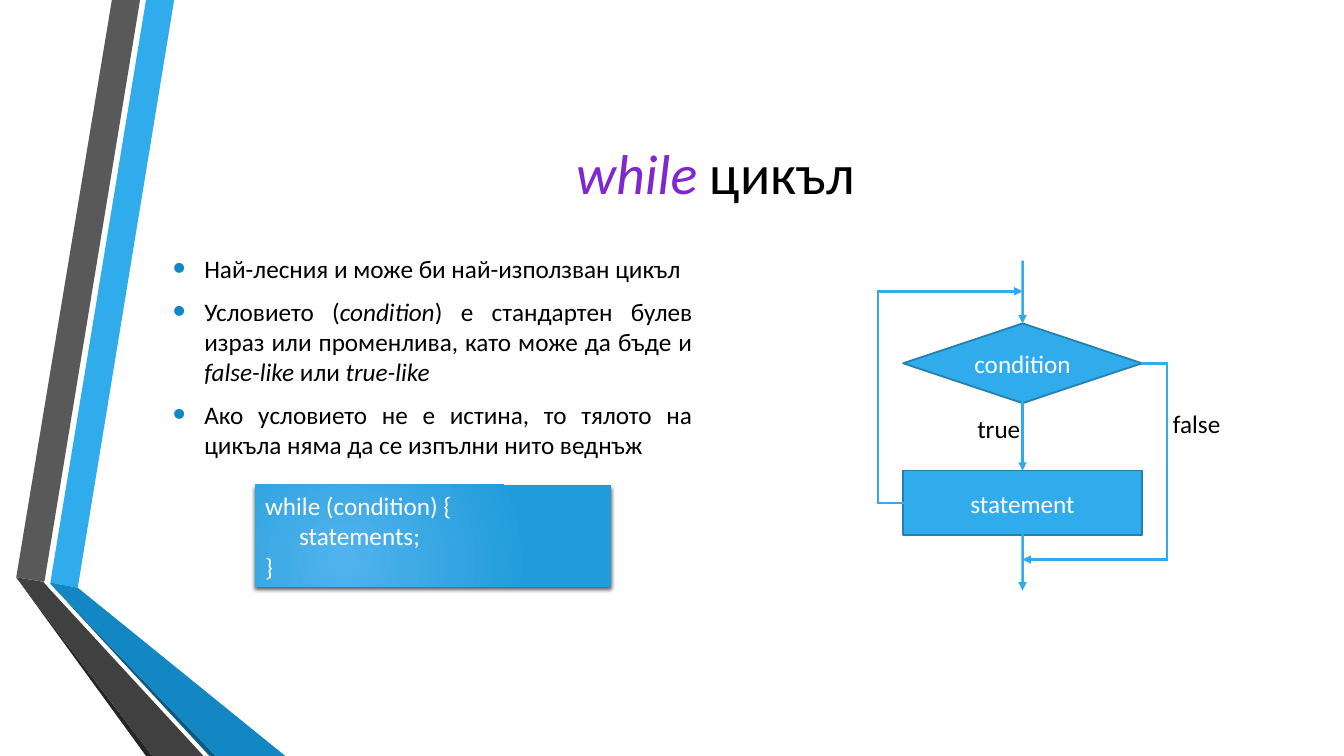
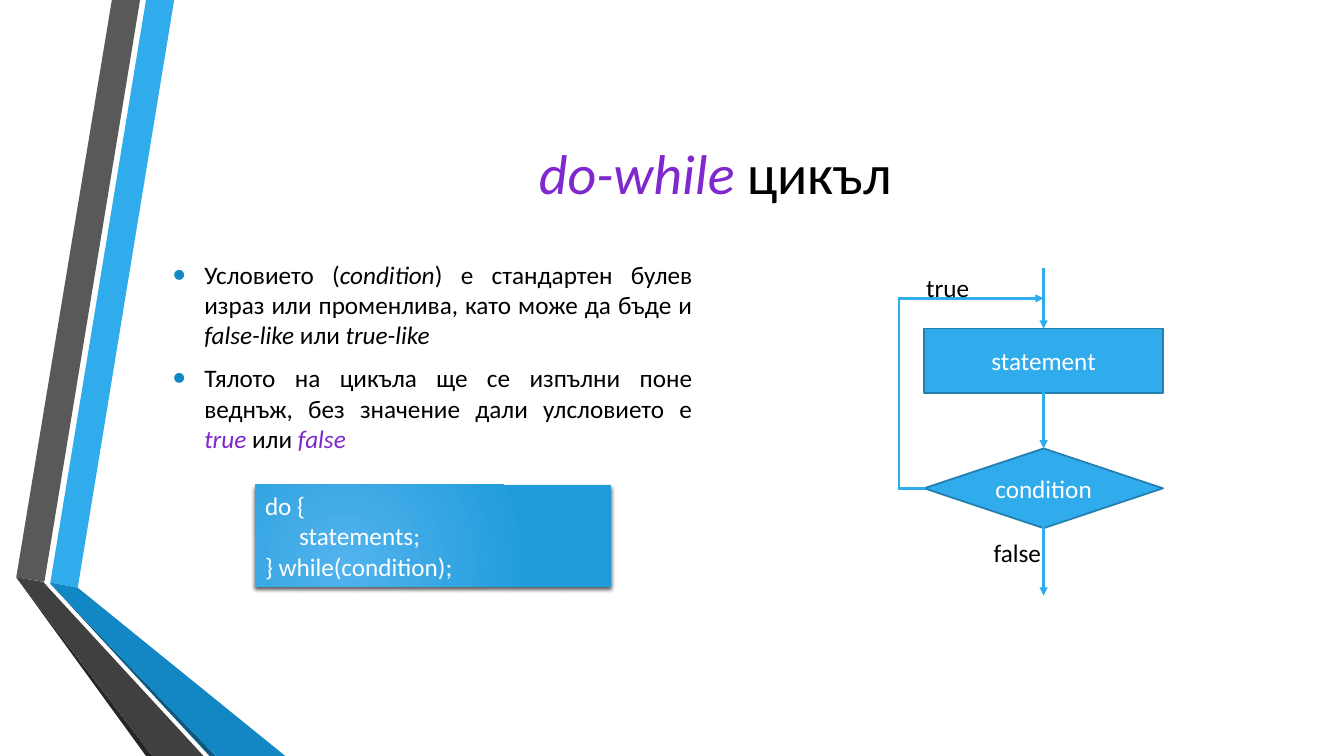
from itertools import pairwise

from lxml import etree
from pptx import Presentation
from pptx.dml.color import RGBColor
from pptx.enum.shapes import MSO_CONNECTOR, MSO_SHAPE
from pptx.enum.text import MSO_ANCHOR, PP_ALIGN
from pptx.oxml.ns import qn
from pptx.util import Cm, Pt

# Enum members
STRAIGHT = MSO_CONNECTOR.STRAIGHT
RECTANGLE = MSO_SHAPE.RECTANGLE
DECISION = MSO_SHAPE.FLOWCHART_DECISION
MIDDLE, TOP = MSO_ANCHOR.MIDDLE, MSO_ANCHOR.TOP
LEFT, CENTER, JUSTIFY = PP_ALIGN.LEFT, PP_ALIGN.CENTER, PP_ALIGN.JUSTIFY

# Colours and font
BLACK = RGBColor(0x00, 0x00, 0x00)
WHITE = RGBColor(0xFF, 0xFF, 0xFF)
BLUE = RGBColor(0x30, 0xAC, 0xEC)
BLUE_OUTLINE = RGBColor(0x24, 0x7F, 0xAF)
DEEP_BLUE = RGBColor(0x12, 0x87, 0xC3)
NAVY = RGBColor(0x0C, 0x5A, 0x82)
GLOW_BLUE = RGBColor(0x51, 0xB3, 0xED)
CODE_BLUE = RGBColor(0x21, 0x9C, 0xDB)
LIGHT_GREY = RGBColor(0x59, 0x59, 0x59)
DARK_GREY = RGBColor(0x40, 0x40, 0x40)
CHARCOAL = RGBColor(0x26, 0x26, 0x26)
PURPLE = RGBColor(0x7E, 0x28, 0xCD)
FONT = "Calibri"
TEXT_SIZE, TITLE_SIZE = 18, 40

# Run styles: colour and italic
PLAIN = (BLACK, False)
ITALIC = (BLACK, True)
KEYWORD = (PURPLE, True)
LIGHT = (WHITE, False)

# Sizes in centimetres
NODE_WIDTH = 6.02
CONDITION_HEIGHT, STATEMENT_HEIGHT = 2.01, 1.63
LOOP_OFFSET = 0.63
BULLET_INDENT, CODE_INDENT = 0.79, 0.86

# Folded ribbons along the left edge, back to front
RIBBONS = [
    (BLUE, [(1.27, 14.68), (1.96, 14.81), (4.39, 0), (3.68, 0)]),
    (LIGHT_GREY, [(3.53, 0), (2.82, 0), (0.41, 14.55), (1.12, 14.66)]),
    (CHARCOAL, [(0.41, 14.55), (3.68, 19.05), (3.84, 19.05)]),
    (NAVY, [(1.27, 14.71), (5.28, 19.05), (5.44, 19.05)]),
    (DEEP_BLUE, [(1.27, 14.71), (5.44, 19.05), (7.19, 19.05), (1.96, 14.81),
                 (1.27, 14.68)]),
    (DARK_GREY, [(5.13, 19.05), (1.22, 14.81), (1.09, 14.66), (0.41, 14.55),
                 (3.84, 19.05)]),
]

# Wording
CONDITION_POINT = [
    ("Условието (", PLAIN), ("condition", ITALIC),
    (") e стандартен булев израз или променлива, като може да бъде и ", PLAIN),
    ("false-like ", ITALIC), ("или ", PLAIN), ("true-like", ITALIC),
]
WHILE_POINTS = [
    [("Най-лесния и може би най-използван цикъл", PLAIN)],
    CONDITION_POINT,
    [("Ако условието не е истина, то тялото на цикъла няма да се изпълни "
      "нито веднъж", PLAIN)],
]
DO_WHILE_POINTS = [
    CONDITION_POINT,
    [("Тялото на цикъла ще се изпълни поне веднъж, без значение дали "
      "улсловието е ", PLAIN),
     ("true ", KEYWORD), ("или ", PLAIN), ("false", KEYWORD)],
]


def add_child(parent, tag, **attributes):
    child = etree.SubElement(parent, qn(tag))
    for name, value in attributes.items():
        child.set(name, str(value))
    return child


def write(text_frame, lines, alignment=LEFT, anchor=TOP, size=TEXT_SIZE):
    """Fill a text frame with lines, each a list of (text, style) runs."""
    text_frame.word_wrap = True
    text_frame.vertical_anchor = anchor
    for index, pieces in enumerate(lines):
        paragraph = text_frame.paragraphs[0] if index == 0 else text_frame.add_paragraph()
        paragraph.alignment = alignment
        for text, (color, italic) in pieces:
            run = paragraph.add_run()
            run.text = text
            run.font.name = FONT
            run.font.size = Pt(size)
            run.font.italic = italic
            run.font.color.rgb = color


def add_text(slide, left, top, width, height, lines, **layout):
    box = slide.shapes.add_textbox(Cm(left), Cm(top), Cm(width), Cm(height))
    write(box.text_frame, lines, **layout)
    return box


def add_ribbons(slide):
    for color, points in RIBBONS:
        start, *others = [(Cm(x), Cm(y)) for x, y in points]
        builder = slide.shapes.build_freeform(*start)
        builder.add_line_segments(others, close=True)
        ribbon = builder.convert_to_shape()
        ribbon.fill.solid()
        ribbon.fill.fore_color.rgb = color
        ribbon.line.fill.background()
        ribbon.shadow.inherit = False


def add_bullets(slide, points):
    box = add_text(slide, 4.11, 5.64, 13.59, 6.68, points,
                   alignment=JUSTIFY, anchor=MIDDLE)
    for paragraph in box.text_frame.paragraphs:
        paragraph.space_before = Pt(3)
        paragraph.space_after = Pt(6)
        properties = paragraph._p.get_or_add_pPr()
        properties.set("marL", str(Cm(BULLET_INDENT)))
        properties.set("indent", str(-Cm(BULLET_INDENT)))
        bullet_color = add_child(properties, "a:buClr")
        add_child(bullet_color, "a:srgbClr", val=DEEP_BLUE)
        add_child(properties, "a:buSzPct", val=145000)
        add_child(properties, "a:buFont", typeface="Arial")
        add_child(properties, "a:buChar", char="•")


def add_code(slide, first, body, last):
    shape = slide.shapes.add_shape(RECTANGLE, Cm(6.43), Cm(12.22), Cm(8.97), Cm(2.57))
    shape.line.fill.background()

    # Radial gradient
    shape.fill.gradient()
    stops = zip(shape.fill.gradient_stops, (GLOW_BLUE, CODE_BLUE), (0, 1))
    for stop, color, position in stops:
        stop.color.rgb = color
        stop.position = position
    gradient = shape.element.spPr.find(qn("a:gradFill"))
    gradient.remove(gradient.find(qn("a:lin")))
    radial = add_child(gradient, "a:path", path="circle")
    add_child(radial, "a:fillToRect", l=50000, t=100000, r=100000, b=50000)

    # Soft shadow below
    shape.shadow.inherit = False
    effects = shape.element.spPr.find(qn("a:effectLst"))
    shadow = add_child(effects, "a:outerShdw", blurRad=Pt(3), dist=Pt(2),
                       dir=5400000, rotWithShape=0)
    shadow_color = add_child(shadow, "a:srgbClr", val=BLACK)
    add_child(shadow_color, "a:alpha", val=64000)

    write(shape.text_frame, [[(line, LIGHT)] for line in (first, body, last)],
          anchor=MIDDLE)
    indented = shape.text_frame.paragraphs[1]
    indented._p.get_or_add_pPr().set("marL", str(Cm(CODE_INDENT)))


def add_node(slide, kind, center, top, height, text):
    node = slide.shapes.add_shape(kind, Cm(center - NODE_WIDTH / 2), Cm(top),
                                  Cm(NODE_WIDTH), Cm(height))
    node.fill.solid()
    node.fill.fore_color.rgb = BLUE
    node.line.color.rgb = BLUE_OUTLINE
    node.line.width = Pt(1.25)
    node.shadow.inherit = False
    write(node.text_frame, [[(text, LIGHT)]], alignment=CENTER, anchor=MIDDLE)
    return node


def add_condition(slide, center, top):
    return add_node(slide, DECISION, center, top, CONDITION_HEIGHT, "condition")


def add_statement(slide, center, top):
    return add_node(slide, RECTANGLE, center, top, STATEMENT_HEIGHT, "statement")


def add_line(slide, start, end, arrow=True):
    connector = slide.shapes.add_connector(
        STRAIGHT, *(Cm(length) for length in (*start, *end)))
    connector.line.color.rgb = BLUE
    connector.line.width = Pt(1.75)
    properties = connector.element.spPr
    outline = properties.find(qn("a:ln"))
    outline.set("cap", "sq")
    if arrow:
        add_child(outline, "a:tailEnd", type="triangle")
    add_child(properties, "a:effectLst")
    return connector


def add_flow(slide, center, start, upper, lower, end):
    """Vertical arrows: into the upper node, between the nodes, and out."""
    entry = add_line(slide, (center, start), (center, upper.top.cm))
    entry.end_connect(upper, 0)
    middle = add_line(slide, (center, start), (center, end))
    middle.begin_connect(upper, 2)
    middle.end_connect(lower, 0)
    leaving = add_line(slide, (center, start), (center, end))
    leaving.begin_connect(lower, 2)


def add_loop(slide, center, node, join, side):
    """Bent arrow from a node's side (-1 left, 1 right) to the flow line."""
    edge = center + side * NODE_WIDTH / 2
    outer = edge + side * LOOP_OFFSET
    level = (node.top + node.height / 2) / Cm(1)
    corners = [(edge, level), (outer, level), (outer, join), (center, join)]
    for start, end in pairwise(corners):
        add_line(slide, start, end, arrow=end == corners[-1])


def add_label(slide, left, top, text):
    add_text(slide, left, top, 1.96, 1.02, [[(text, PLAIN)]])


def add_loop_slide(presentation, keyword, points, code):
    slide = presentation.slides.add_slide(presentation.slide_layouts[6])
    add_ribbons(slide)
    add_text(slide, 4.11, 1.9, 27.84, 4.88,
             [[(keyword + " ", KEYWORD), ("цикъл", PLAIN)]],
             alignment=CENTER, anchor=MIDDLE, size=TITLE_SIZE)
    add_bullets(slide, points)
    add_code(slide, *code)
    return slide


def add_while_chart(slide):
    center = 25.77
    condition = add_condition(slide, center, 8.15)
    statement = add_statement(slide, center, 11.86)
    add_flow(slide, center, 6.6, condition, statement, 14.88)
    add_loop(slide, center, condition, 14.1, 1)
    add_loop(slide, center, statement, 7.34, -1)
    add_label(slide, 29.31, 10.16, "false")
    add_label(slide, 24.38, 10.29, "true")


def add_do_while_chart(slide):
    center = 26.3
    statement = add_statement(slide, center, 8.28)
    condition = add_condition(slide, center, 11.3)
    add_flow(slide, center, 6.78, statement, condition, 15.01)
    add_loop(slide, center, condition, 7.52, -1)
    add_label(slide, 24.79, 13.41, "false")
    add_label(slide, 23.09, 6.73, "true")


def main():
    presentation = Presentation()
    presentation.slide_width = Cm(33.87)
    presentation.slide_height = Cm(19.05)

    add_while_chart(add_loop_slide(
        presentation, "while", WHILE_POINTS,
        ("while (condition) {", "statements;", "}")))
    add_do_while_chart(add_loop_slide(
        presentation, "do-while", DO_WHILE_POINTS,
        ("do {", "statements;", "} while(condition);")))

    presentation.save("out.pptx")


if __name__ == "__main__":
    main()
